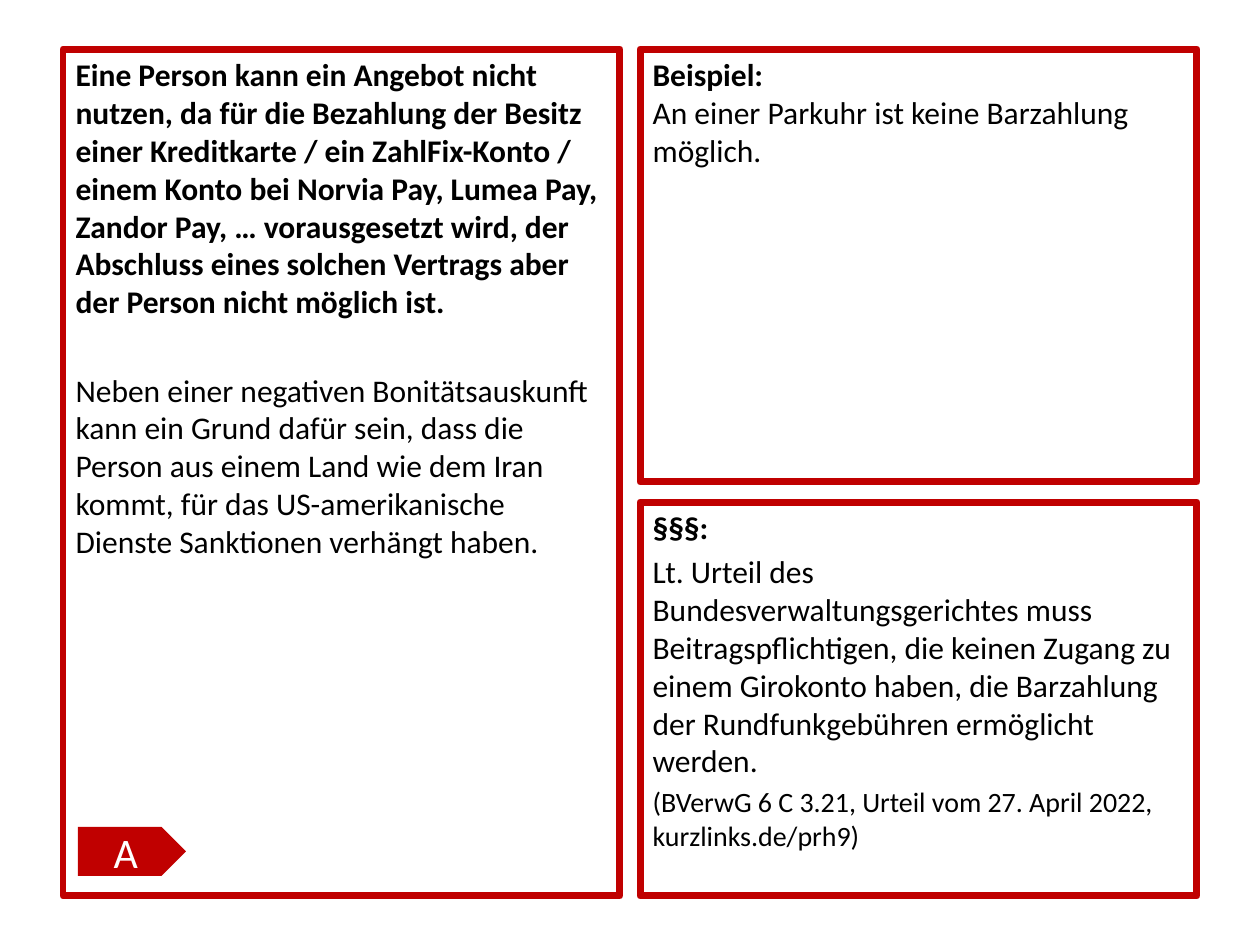
import pptx
import pptx.dml.color
import pptx.enum.shapes
import pptx.enum.text
import pptx.oxml.ns
import pptx.util
from lxml import etree

RED, BLACK, WHITE = "C00000", "000000", "FFFFFF"
FONT = "Calibri"
PX_PER_INCH = 126


def px(length):
    return pptx.util.Emu(round(length * 914400 / PX_PER_INCH))


def color(value):
    return pptx.dml.color.RGBColor.from_string(value)


def place(shape, box):
    shape.left, shape.top, shape.width, shape.height = map(px, box)


def style_run(run, size, ink, bold=False):
    run.font.name = FONT
    run.font.size = pptx.util.Pt(size)
    run.font.bold = bold
    run.font.color.rgb = color(ink)


def fill_panel(panel, box, paragraphs):
    """Framed body text; each paragraph is (text, size, space before, bold runs)."""
    place(panel, box)
    panel.line.color.rgb = color(RED)
    panel.line.width = pptx.util.Pt(4)
    frame = panel.text_frame
    frame.word_wrap = True
    frame.auto_size = pptx.enum.text.MSO_AUTO_SIZE.NONE
    frame.vertical_anchor = pptx.enum.text.MSO_ANCHOR.TOP
    for index, (text, size, before, bold_runs) in enumerate(paragraphs):
        paragraph = frame.add_paragraph() if index else frame.paragraphs[0]
        paragraph.text = text
        paragraph.space_before = pptx.util.Pt(before)
        # Plain paragraph without bullet or indent
        properties = paragraph._p.get_or_add_pPr()
        properties.set("marL", "0")
        properties.set("indent", "0")
        etree.SubElement(properties, pptx.oxml.ns.qn("a:buNone"))
        for position, run in enumerate(paragraph.runs):
            style_run(run, size, BLACK, position < bold_runs)


def add_category_tag(slide, box, letter):
    """Arrow tag in the lower left corner of the given panel box."""
    left, top, _, height = box
    tag = slide.shapes.add_shape(
        pptx.enum.shapes.MSO_SHAPE.PENTAGON,
        px(left + 15), px(top + height - 69), px(108), px(49))
    tag.shadow.inherit = False
    tag.fill.solid()
    tag.fill.fore_color.rgb = color(RED)
    tag.line.fill.background()
    frame = tag.text_frame
    frame.text = letter
    frame.vertical_anchor = pptx.enum.text.MSO_ANCHOR.MIDDLE
    frame.paragraphs[0].alignment = pptx.enum.text.PP_ALIGN.CENTER
    style_run(frame.paragraphs[0].runs[0], 24, WHITE)


def build_card(slide, box):
    left, top, width, height = box
    gap = 20
    column = (width - gap) // 2
    right = left + column + gap
    example_height = 433
    law_top = top + example_height + gap
    situation_box = (left, top, column, height)
    law_box = (right, law_top, column, top + height - law_top)
    example_box = (right, top, column, example_height)

    # The comparison layout offers four bodies; the card needs three
    title, situation, law, example, spare = slide.placeholders
    for unused in (title, spare):
        unused.element.getparent().remove(unused.element)

    fill_panel(situation, situation_box, [
        ("Eine Person kann ein Angebot nicht nutzen, da für die Bezahlung der "
         "Besitz einer Kreditkarte / ein ZahlFix-Konto / einem Konto bei "
         "Norvia Pay, Lumea Pay, Zandor Pay, … vorausgesetzt wird, der "
         "Abschluss eines solchen Vertrags aber der Person nicht möglich ist.",
         18, 0, 1),
        ("Neben einer negativen Bonitätsauskunft kann ein Grund dafür sein, "
         "dass die Person aus einem Land wie dem Iran kommt, für das "
         "US-amerikanische Dienste Sanktionen verhängt haben.", 18, 29, 0),
    ])
    fill_panel(law, law_box, [
        ("§§§:", 18, 0, 1),
        ("Lt. Urteil des Bundesverwaltungsgerichtes muss Beitragspflichtigen, "
         "die keinen Zugang zu einem Girokonto haben, die Barzahlung der "
         "Rundfunkgebühren ermöglicht werden.", 18, 3.6, 0),
        ("(BVerwG 6 C 3.21, Urteil vom 27. April 2022, kurzlinks.de/prh9)",
         16, 3.2, 0),
    ])
    fill_panel(example, example_box, [
        ("Beispiel:\vAn einer Parkuhr ist keine Barzahlung möglich.", 18, 0, 1),
    ])
    add_category_tag(slide, situation_box, "A")


def main():
    presentation = pptx.Presentation()
    presentation.slide_width = px(1260)
    presentation.slide_height = px(945)
    comparison = presentation.slide_layouts[4]
    build_card(presentation.slides.add_slide(comparison), (63, 49, 1134, 847))
    presentation.save("out.pptx")


if __name__ == "__main__":
    main()
